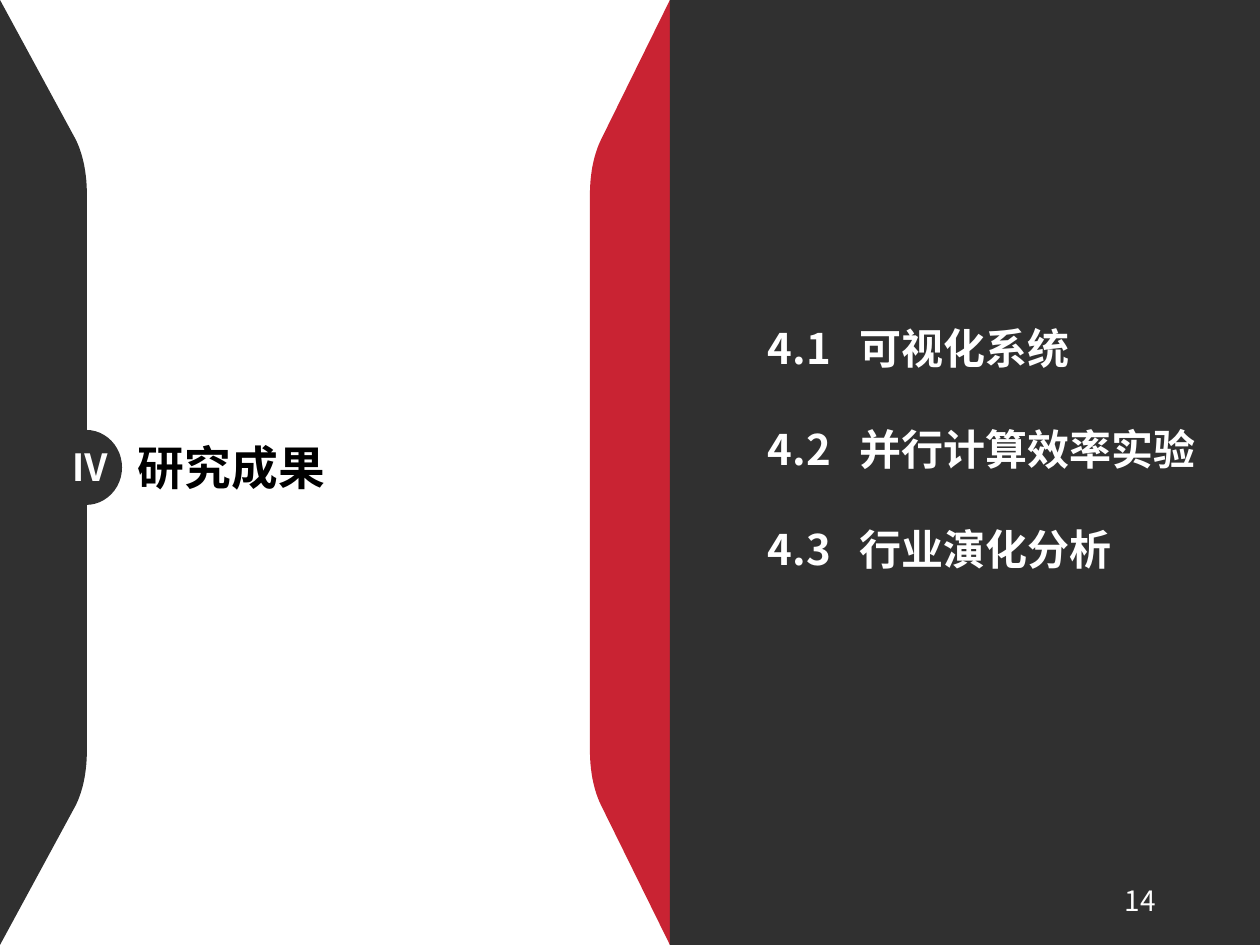
from dataclasses import dataclass

from lxml.etree import SubElement
from pptx import Presentation
from pptx.dml.color import RGBColor
from pptx.enum.shapes import MSO_SHAPE
from pptx.enum.text import MSO_ANCHOR, MSO_AUTO_SIZE, PP_ALIGN
from pptx.oxml.ns import qn
from pptx.util import Pt


@dataclass(frozen=True)
class Theme:
    font: str = "Noto Sans CJK SC"
    dark: RGBColor = RGBColor(0x30, 0x30, 0x30)
    red: RGBColor = RGBColor(0xC9, 0x23, 0x33)
    white: RGBColor = RGBColor(0xFF, 0xFF, 0xFF)
    black: RGBColor = RGBColor(0, 0, 0)
    title: int = 20
    topic: int = 18
    numeral: int = 16
    page_number: int = 12


theme = Theme()
EMU_PER_PX = 914400 / 168
WIDTH, HEIGHT = 1260, 945
TOPIC_INDENT = 92


def px(length):
    return round(length * EMU_PER_PX)


def write(box, area, lines, size, color, bold=True, align=PP_ALIGN.LEFT,
          anchor=MSO_ANCHOR.MIDDLE):
    """Place a text box or placeholder at area (px) and fill it with one run a line."""
    box.left, box.top, box.width, box.height = map(px, area)
    frame = box.text_frame
    frame.word_wrap = True
    frame.auto_size = MSO_AUTO_SIZE.NONE
    frame.vertical_anchor = anchor
    frame.margin_left = frame.margin_right = frame.margin_top = frame.margin_bottom = 0
    for index, line in enumerate(lines):
        para = frame.add_paragraph() if index else frame.paragraphs[0]
        para.alignment = align
        span = para.add_run()
        span.text = line
        span.font.name = theme.font
        span.font.size = Pt(size)
        span.font.bold = bold
        span.font.color.rgb = color
        SubElement(span.font._element, qn("a:ea"), typeface=theme.font)


deck = Presentation()
deck.slide_width, deck.slide_height = px(WIDTH), px(HEIGHT)
page = deck.slides.add_slide(deck.slide_layouts[1])
title, topics = page.placeholders

# Side panels: slanted ends that bend through a rounded shoulder into a straight edge
panels = []
for outer, shoulder, inner, color in ((670, 601, 590, theme.red), (0, 76, 87, theme.dark)):
    bend = shoulder + 0.7 * (inner - shoulder)
    controls = ((shoulder, 140), (bend, 156), (inner, 175), (inner, 196))
    curve = []
    for step in range(13):
        t = step / 12
        weights = ((1 - t) ** 3, 3 * t * (1 - t) ** 2, 3 * t * t * (1 - t), t ** 3)
        curve.append(tuple(sum(w * c[axis] for w, c in zip(weights, controls))
                           for axis in (0, 1)))
    mirrored = [(x, HEIGHT - y) for x, y in reversed(curve)]
    outline = [(px(x), px(y)) for x, y in curve + mirrored + [(outer, HEIGHT)]]
    builder = page.shapes.build_freeform(px(outer), 0)
    builder.add_line_segments(outline, close=True)
    panels.append((builder.convert_to_shape(), color))

topic_panel = page.shapes.add_shape(MSO_SHAPE.RECTANGLE, px(670), 0, px(590), px(HEIGHT))
badge = page.shapes.add_shape(MSO_SHAPE.OVAL, px(50), px(430), px(72), px(75))
for shape, color in panels + [(topic_panel, theme.dark), (badge, theme.dark)]:
    shape.shadow.inherit = False
    shape.fill.solid()
    shape.fill.fore_color.rgb = color
    shape.line.fill.background()

# Bring the placeholders in front of the panels
for placeholder in (title, topics):
    placeholder.element.getparent().append(placeholder.element)

write(title, (138, 430, 240, 74), ["研究成果"], theme.title, theme.black)
write(topics, (768, 312, 470, 272),
      ["4.1\t可视化系统", "4.2\t并行计算效率实验", "4.3\t行业演化分析"],
      theme.topic, theme.white, anchor=MSO_ANCHOR.TOP)
for para in topics.text_frame.paragraphs:
    para.line_spacing = Pt(26)
    para.space_before = Pt(0)
    para.space_after = Pt(17.2)
    properties = para._p.get_or_add_pPr()
    properties.set("marL", str(px(TOPIC_INDENT)))
    properties.set("indent", str(-px(TOPIC_INDENT)))
    SubElement(properties, qn("a:buNone"))

numeral = page.shapes.add_textbox(0, 0, 0, 0)
write(numeral, (54, 436, 72, 62), ["Ⅳ"], theme.numeral, theme.white,
      align=PP_ALIGN.CENTER)
page_number = page.shapes.add_textbox(0, 0, 0, 0)
write(page_number, (890, 875, 266, 50), ["14"], theme.page_number, theme.white,
      bold=False, align=PP_ALIGN.RIGHT)

deck.save("out.pptx")
